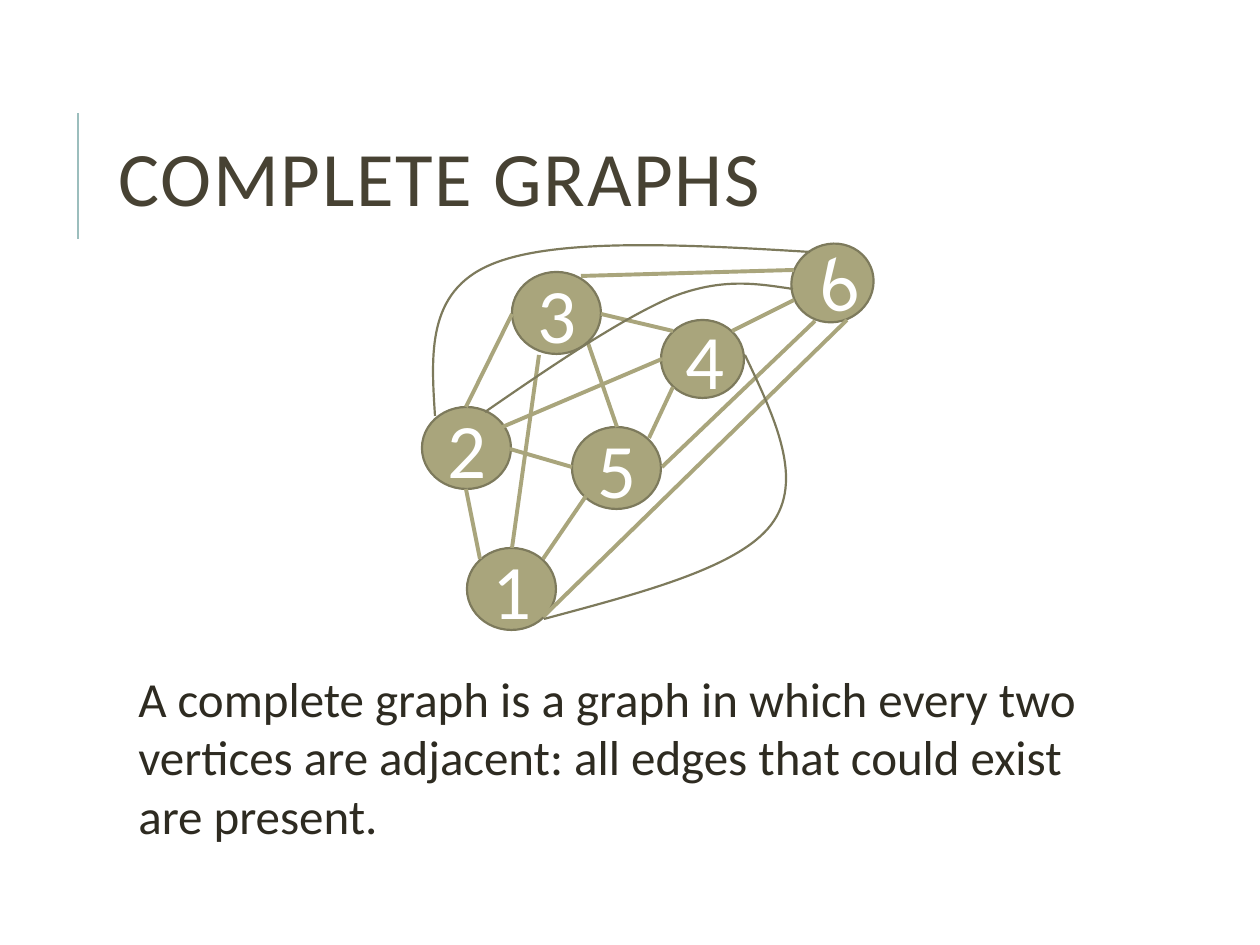
"""Build a slide showing a complete graph on six vertices."""
from lxml import etree
from pptx import Presentation
from pptx import util as u
from pptx.dml.color import RGBColor
from pptx.enum import shapes, text
from pptx.oxml import ns

TITLE = "COMPLETE GRAPHS"
DEFINITION = ("A complete graph is a graph in which every two vertices are adjacent: "
              "all edges that could exist are present.")
LARGE, SMALL = (89, 82), (83, 78)
VERTICES = [
    ("6", (791, 244), SMALL, -22.7),
    ("4", (661, 320), SMALL, 0),
    ("3", (512, 272), LARGE, 0),
    ("5", (572, 427), LARGE, 0),
    ("1", (467, 548), LARGE, 0),
    ("2", (422, 407), LARGE, 0),
]
STRAIGHT_EDGES = {
    "3-4": (601, 314, 673, 331),
    "4-6": (732, 331, 794, 300),
    "5-4": (649, 438, 673, 387),
    "2-5": (510, 449, 572, 467),
    "3-2": (512, 314, 466, 407),
    "5-1": (586, 496, 543, 559),
    "2-1": (466, 489, 480, 559),
    "3-6": (581, 276, 794, 270),
    "5-6": (662, 467, 815, 321),
    "5-3": (617, 427, 588, 343),
    "2-4": (500, 428, 662, 359),
    "1-3": (512, 548, 539, 355),
    "1-6": (543, 617, 847, 320),
}
CURVED_EDGES = {
    "2-6 outer": [(435, 416), (431, 354), (427, 292), (490, 265),
                  (552, 238), (680, 244), (810, 252)],
    "2-6 inner": [(485, 412), (553, 365), (621, 319), (672, 297),
                  (723, 277), (759, 284), (793, 289)],
    "1-4": [(544, 619), (641, 593), (738, 568), (771, 525),
            (805, 481), (775, 418), (745, 355)],
}
ACCENT = (78, 239, 78, 113)
TITLE_BOX = (106, 81, 1004, 207)
DEFINITION_BOX = (126, 662, 980, 151)
THEME = {
    "font": "Calibri",
    "title": {"size": 44, "color": "474233"},
    "definition": {"size": 28, "color": "2E2B21"},
    "label": {"size": 44, "color": "FFFFFF"},
    "vertex": "A9A57C",
    "outline": {"width": 1.25, "color": "7D7A5C"},
    "edge": {"width": 2.25, "color": "A9A57C"},
    "accent": {"width": 1.5, "color": "9CBEBD"},
}


def px(length):
    return round(length * 914400 / 126)


def style_line(line, style):
    line.width = u.Pt(style["width"])
    line.color.rgb = RGBColor.from_string(style["color"])


def write(frame, words, style, frame_format, paragraph_format):
    paragraph = frame.paragraphs[0]
    run = paragraph.add_run()
    run.text = words
    formats = [(frame, frame_format), (paragraph, paragraph_format),
               (run.font, {"name": THEME["font"], "size": u.Pt(style["size"])})]
    for target, values in formats:
        for name, value in values.items():
            setattr(target, name, value)
    run.font.color.rgb = RGBColor.from_string(style["color"])
    return run


def add_edge(slide, ends, style):
    edge = slide.shapes.add_connector(shapes.MSO_CONNECTOR.STRAIGHT, *map(px, ends))
    style_line(edge.line, style)
    etree.SubElement(edge._element.spPr, ns.qn("a:effectLst"))


def add_curve(slide, points):
    start, *controls = [(px(x), px(y)) for x, y in points]
    builder = slide.shapes.build_freeform(*start)
    builder.add_line_segments(controls, close=False)
    curve = builder.convert_to_shape()
    curve.shadow.inherit = False
    curve.fill.background()
    style_line(curve.line, THEME["outline"])
    steps = list(curve._element.iter(ns.qn("a:lnTo")))
    outline = steps[0].getparent()
    for first in range(0, len(steps), 3):
        bezier = etree.SubElement(outline, ns.qn("a:cubicBezTo"))
        for step in steps[first:first + 3]:
            bezier.append(step[0])
            outline.remove(step)


def add_vertex(slide, label, corner, size, rotation):
    vertex = slide.shapes.add_shape(shapes.MSO_SHAPE.OVAL, *map(px, corner + size))
    vertex.rotation = rotation
    vertex.shadow.inherit = False
    vertex.fill.solid()
    vertex.fill.fore_color.rgb = RGBColor.from_string(THEME["vertex"])
    style_line(vertex.line, THEME["outline"])
    write(vertex.text_frame, label, THEME["label"],
          {"vertical_anchor": text.MSO_ANCHOR.MIDDLE},
          {"alignment": text.PP_ALIGN.CENTER})


def main():
    deck = Presentation()
    deck.slide_width, deck.slide_height = px(1260), px(945)
    slide = deck.slides.add_slide(deck.slide_layouts[5])

    title = slide.shapes.title
    for side, length in zip(("left", "top", "width", "height"), TITLE_BOX):
        setattr(title, side, px(length))
    heading = write(title.text_frame, TITLE, THEME["title"],
                    {"vertical_anchor": text.MSO_ANCHOR.MIDDLE},
                    {"alignment": text.PP_ALIGN.LEFT, "line_spacing": 0.8})
    heading.font._element.set("spc", "100")

    add_edge(slide, ACCENT, THEME["accent"])
    definition = slide.shapes.add_textbox(*map(px, DEFINITION_BOX))
    write(definition.text_frame, DEFINITION, THEME["definition"],
          {"word_wrap": True}, {"space_before": u.Pt(6)})

    for vertex in VERTICES:
        add_vertex(slide, *vertex)
    for ends in STRAIGHT_EDGES.values():
        add_edge(slide, ends, THEME["edge"])
    for points in CURVED_EDGES.values():
        add_curve(slide, points)
    deck.save("out.pptx")


if __name__ == "__main__":
    main()
